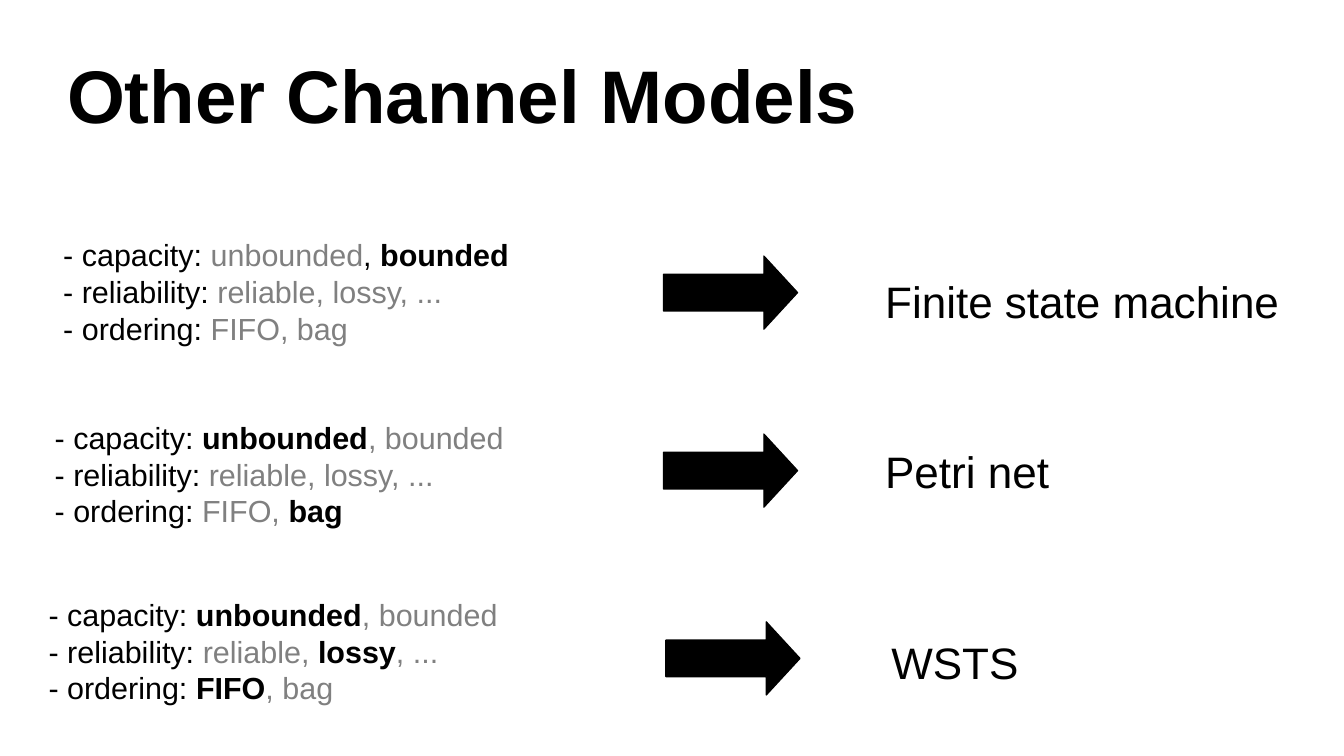
from pptx import Presentation
from pptx.dml.color import RGBColor
from pptx.enum import shapes, text
from pptx.util import Inches, Pt

BLACK = RGBColor(0, 0, 0)
GREY = RGBColor(0x80, 0x80, 0x80)
WHITE = RGBColor(255, 255, 255)
FONT = "Arial"

PLAIN, CHOSEN, MUTED = (BLACK, False), (BLACK, True), (GREY, False)

TITLE = "Other Channel Models"
MODELS = [
    {
        "properties": [
            [("- capacity: ", PLAIN), ("unbounded", MUTED), (", ", PLAIN), ("bounded", CHOSEN)],
            [("- reliability: ", PLAIN), ("reliable, lossy, ...", MUTED)],
            [("- ordering: ", PLAIN), ("FIFO, bag", MUTED)],
        ],
        "properties_box": (0.42, 1.89, 4.18, 1.5),
        "arrow_at": (5.44, 2.1),
        "result": "Finite state machine",
        "result_box": (7.16, 2.2, 3.44, 0.5),
    },
    {
        "properties": [
            [("- capacity: ", PLAIN), ("unbounded", CHOSEN), (", bounded", MUTED)],
            [("- reliability: ", PLAIN), ("reliable, lossy, ...", MUTED)],
            [("- ordering: ", PLAIN), ("FIFO, ", MUTED), ("bag", CHOSEN)],
        ],
        "properties_box": (0.35, 3.39, 3.88, 0.94),
        "arrow_at": (5.44, 3.56),
        "result": "Petri net",
        "result_box": (7.16, 3.6, 1.6, 0.5),
    },
    {
        "properties": [
            [("- capacity: ", PLAIN), ("unbounded", CHOSEN), (", bounded", MUTED)],
            [("- reliability: ", PLAIN), ("reliable, ", MUTED), ("lossy", CHOSEN), (", ...", MUTED)],
            [("- ordering: ", PLAIN), ("FIFO", CHOSEN), (", bag", MUTED)],
        ],
        "properties_box": (0.3, 4.84, 3.88, 0.94),
        "arrow_at": (5.46, 5.1),
        "result": "WSTS",
        "result_box": (7.21, 5.16, 1.35, 0.5),
    },
]
ARROW_SIZE = (1.1, 0.6)


def add_text(slide, lines, box, size, wrap=False, inset=(0.1, 0.05),
             anchor=text.MSO_ANCHOR.TOP):
    frame = slide.shapes.add_textbox(*map(Inches, box)).text_frame
    frame.word_wrap = wrap
    frame.vertical_anchor = anchor
    frame.margin_left = frame.margin_right = Inches(inset[0])
    frame.margin_top = frame.margin_bottom = Inches(inset[1])
    for index, line in enumerate(lines):
        paragraph = frame.add_paragraph() if index else frame.paragraphs[0]
        for words, (color, bold) in line:
            run = paragraph.add_run()
            run.text = words
            run.font.name = FONT
            run.font.size = Pt(size)
            run.font.bold = bold
            run.font.color.rgb = color


def add_arrow(slide, position):
    arrow = slide.shapes.add_shape(
        shapes.MSO_SHAPE.RIGHT_ARROW, *map(Inches, position + ARROW_SIZE))
    arrow.adjustments[0] = 0.5
    arrow.adjustments[1] = 0.46
    arrow.shadow.inherit = False
    arrow.fill.solid()
    arrow.fill.fore_color.rgb = BLACK
    arrow.line.fill.solid()
    arrow.line.fill.fore_color.rgb = BLACK
    arrow.line.width = Pt(0)


def main():
    deck = Presentation()
    deck.slide_width, deck.slide_height = Inches(11.02), Inches(6.2)
    slide = deck.slides.add_slide(deck.slide_layouts[6])
    slide.background.fill.solid()
    slide.background.fill.fore_color.rgb = WHITE

    add_text(slide, [[(TITLE, CHOSEN)]], (0.55, 0.25, 9.92, 1.04), 44,
             wrap=True, inset=(0, 0), anchor=text.MSO_ANCHOR.MIDDLE)
    for model in MODELS:
        add_text(slide, model["properties"], model["properties_box"], 18,
                 wrap=model is MODELS[0])
        add_arrow(slide, model["arrow_at"])
        add_text(slide, [[(model["result"], PLAIN)]], model["result_box"], 26)

    deck.save("out.pptx")


if __name__ == "__main__":
    main()
